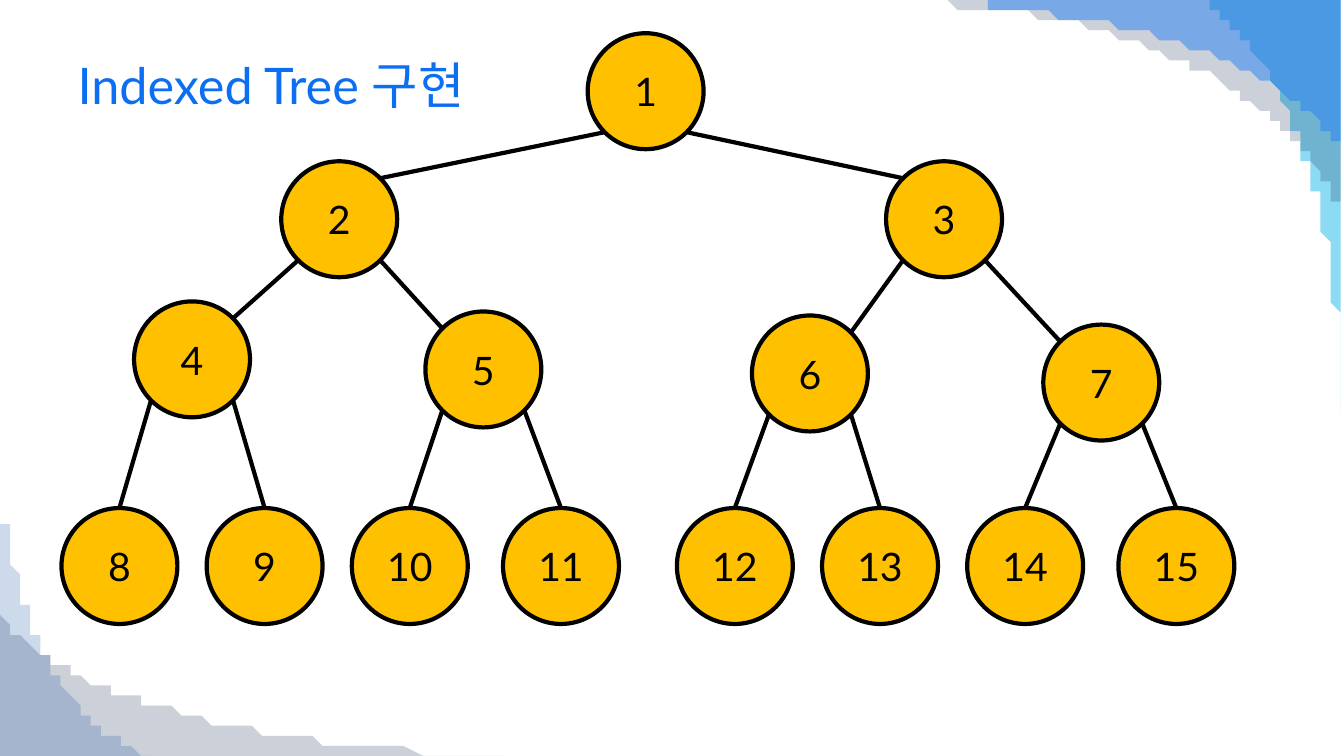
from dataclasses import dataclass
from math import sqrt
from lxml.etree import SubElement as Sub
from pptx import Presentation
from pptx.dml.color import RGBColor as Rgb
from pptx.enum.shapes import MSO_CONNECTOR as Link, MSO_SHAPE as Form
from pptx.enum.text import MSO_ANCHOR as Anchor, MSO_AUTO_SIZE as Auto, PP_ALIGN as Align
from pptx.oxml.ns import qn
from pptx.util import Inches, Pt


@dataclass(frozen=True)
class Theme:
    font: str = "Lato"
    head: str = "0C6FF2"
    ink: str = "000000"
    gold: str = "FFC000"
    navy: str = "021741"
    blue: str = "247FF4"
    cyan: str = "00B1E9"
    deep: str = "084AA1"
    big: int = 36
    mid: int = 28
    rule: int = 3


def put(item, form):
    for key, val in form.items():
        setattr(item, key, val)


def curve(knots, steps=8):
    ends = [knots[0], *knots, knots[-1]]
    out = []
    for a, b, c, d in zip(ends, ends[1:], ends[2:], ends[3:]):
        for n in range(steps):
            t = n / steps
            out.append(tuple(
                q + t * (r - p) / 2 + t * t * (2 * p - 5 * q + 4 * r - s) / 2
                + t ** 3 * (3 * q - p - 3 * r + s) / 2
                for p, q, r, s in zip(a, b, c, d)))
    return out + [knots[-1]]


class Deck:
    cell = Inches(0.1)
    wide, high = 133.33, 75
    size = 11.5

    def __init__(self, theme):
        self.theme = theme
        self.file = Presentation()
        put(self.file, {"slide_width": self.at(self.wide),
                        "slide_height": self.at(self.high)})
        self.slide = self.file.slides.add_slide(self.file.slide_layouts[5])
        self.shapes = self.slide.shapes

    def at(self, num):
        return round(num * self.cell)

    def box(self, *nums):
        return [self.at(num) for num in nums]

    def text(self, shape, words, size, color, align):
        frame = shape.text_frame
        put(frame, {"text": words, "word_wrap": True, "auto_size": Auto.NONE,
                    "vertical_anchor": Anchor.MIDDLE})
        line = frame.paragraphs[0]
        line.alignment = align
        font = line.runs[0].font
        put(font, {"name": self.theme.font, "size": Pt(size)})
        font.color.rgb = Rgb.from_string(color)

    def paint(self, shape, color):
        shape.shadow.inherit = False
        shape.fill.solid()
        shape.fill.fore_color.rgb = Rgb.from_string(color)

    def stroke(self, line):
        line.color.rgb = Rgb.from_string(self.theme.ink)
        line.width = Pt(self.theme.rule)

    def title(self, words, *area):
        shape = self.shapes.title
        put(shape, dict(zip(("left", "top", "width", "height"), self.box(*area))))
        self.text(shape, words, self.theme.big, self.theme.head, Align.LEFT)

    def wave(self, corner, knots, color, alpha):
        pen = self.shapes.build_freeform(*corner, scale=self.cell)
        pen.add_line_segments(curve(knots))
        shape = pen.convert_to_shape()
        self.paint(shape, color)
        shape.line.fill.background()
        tint = next(shape.element.spPr.iter(qn("a:srgbClr")))
        Sub(tint, qn("a:alpha"), val=str(alpha * 1000))

    def node(self, num, left, top):
        shape = self.shapes.add_shape(
            Form.OVAL, *self.box(left, top, self.size, self.size))
        self.paint(shape, self.theme.gold)
        self.stroke(shape.line)
        put(shape.text_frame, {"margin_left": 0, "margin_right": 0})
        self.text(shape, str(num), self.theme.mid, self.theme.ink, Align.CENTER)

    def rim(self, spot, across, down):
        half = self.size / 2
        reach = half / sqrt(2) if across else half
        return spot[0] + half + across * reach, spot[1] + half + down * reach

    def edge(self, start, end):
        line = self.shapes.add_connector(Link.STRAIGHT, *self.box(*start, *end))
        self.stroke(line.line)
        Sub(line.element.spPr, qn("a:effectLst"))


look = Theme()
deck = Deck(look)
right, foot = deck.wide, deck.high

deck.wave((right, 0), [
    (118.9, 0), (121, 1.4), (123.1, 3.5), (125.3, 6.4), (127.6, 10.7),
    (129.7, 16.3), (131.3, 22.6), (132.5, 30.1), (133.1, 36), (right, 40.8)], look.cyan, 45)
deck.wave((right, 0), [
    (88.9, 0), (97.5, 0.8), (104.9, 2), (112.3, 4.2), (118.4, 6.7),
    (123.9, 10), (127.9, 13.4), (131.1, 17.3), (132.5, 19.6), (right, 21.5)], look.navy, 20)
deck.wave((right, 0), [
    (88.9, 0), (97.5, 0.5), (104.9, 1.5), (112.4, 3), (118.5, 4.9),
    (123.9, 7.2), (127.9, 9.6), (131.2, 12.5), (132.6, 14.2), (right, 15.5)], look.blue, 49)
deck.wave((0, foot), [
    (0, 60.8), (1.2, 62.4), (3.1, 64.1), (6.1, 66.1), (10.6, 68.4),
    (16.8, 70.5), (23.6, 72.2), (32, 73.6), (40.3, 74.5), (50, foot)], look.navy, 20)
deck.wave((0, foot), [
    (0, 45.8), (0.5, 51.5), (1.4, 56.3), (2.6, 60.5), (4.3, 64.6),
    (6.2, 67.9), (8.5, 70.8), (11, 73), (13.1, 74.3), (14.8, foot)], look.deep, 20)

deck.title("Indexed Tree 구현", 6.7, 3.3, 120, 10.1)

upper = [(58.3, 3.3), (27.9, 16), (87.9, 16),
         (13.3, 29.9), (42.2, 30.9), (74.6, 31.3), (103.5, 32.2)]
leaves = [(left + shift, 50.4) for shift in (0, 61.05)
          for left in (6.1, 20.5, 34.9, 49.9)]
spots = dict(enumerate(upper + leaves, 1))

for num, spot in spots.items():
    deck.node(num, *spot)

for num in list(spots)[1:]:
    side = 1 if num % 2 else -1
    lean = -side if num <= len(upper) else 0
    deck.edge(deck.rim(spots[num // 2], side, 1 / 1),
              deck.rim(spots[num], lean, -1))

deck.file.save("out.pptx")
